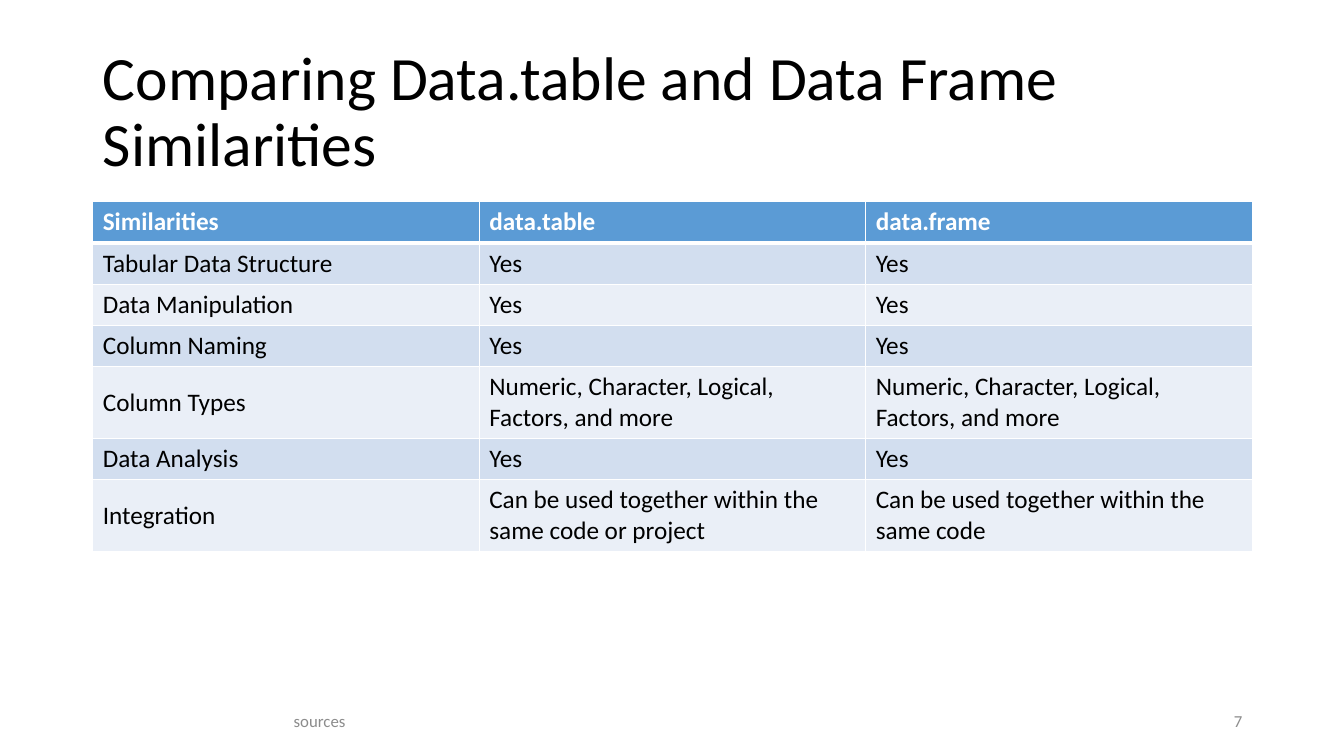
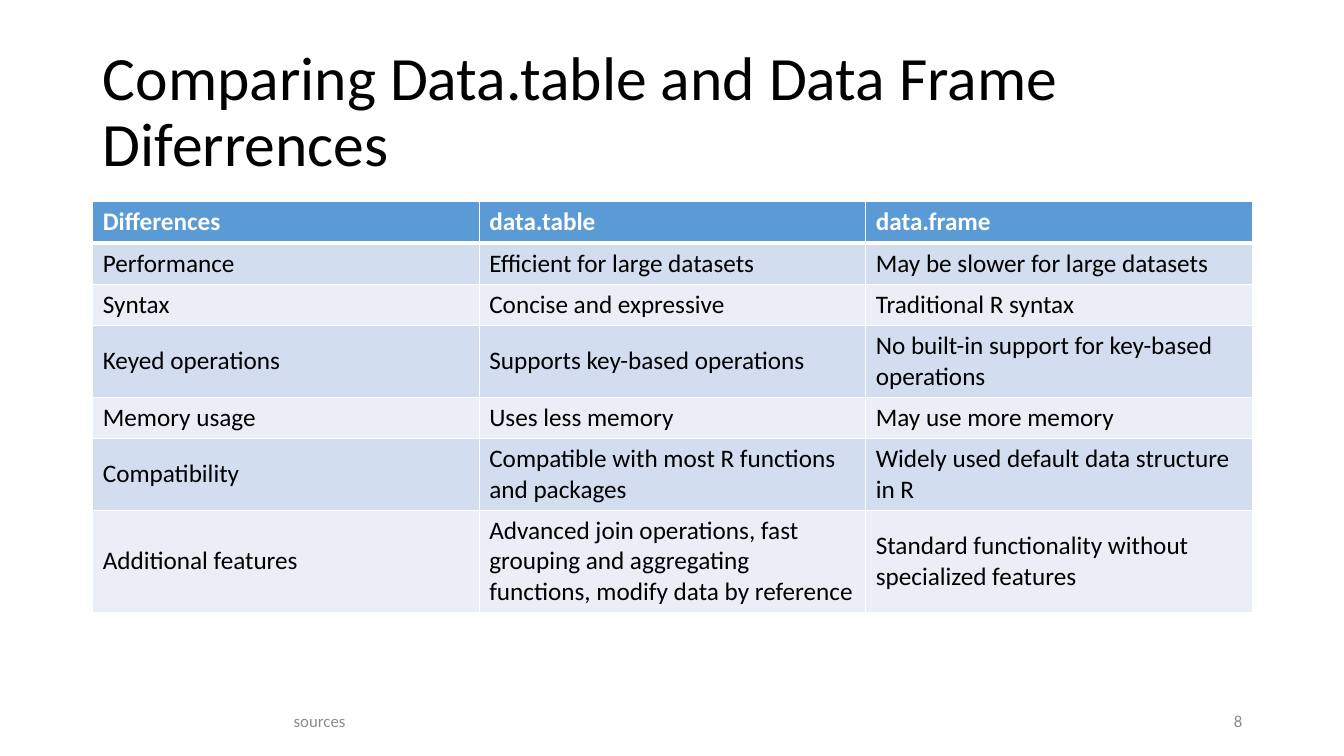
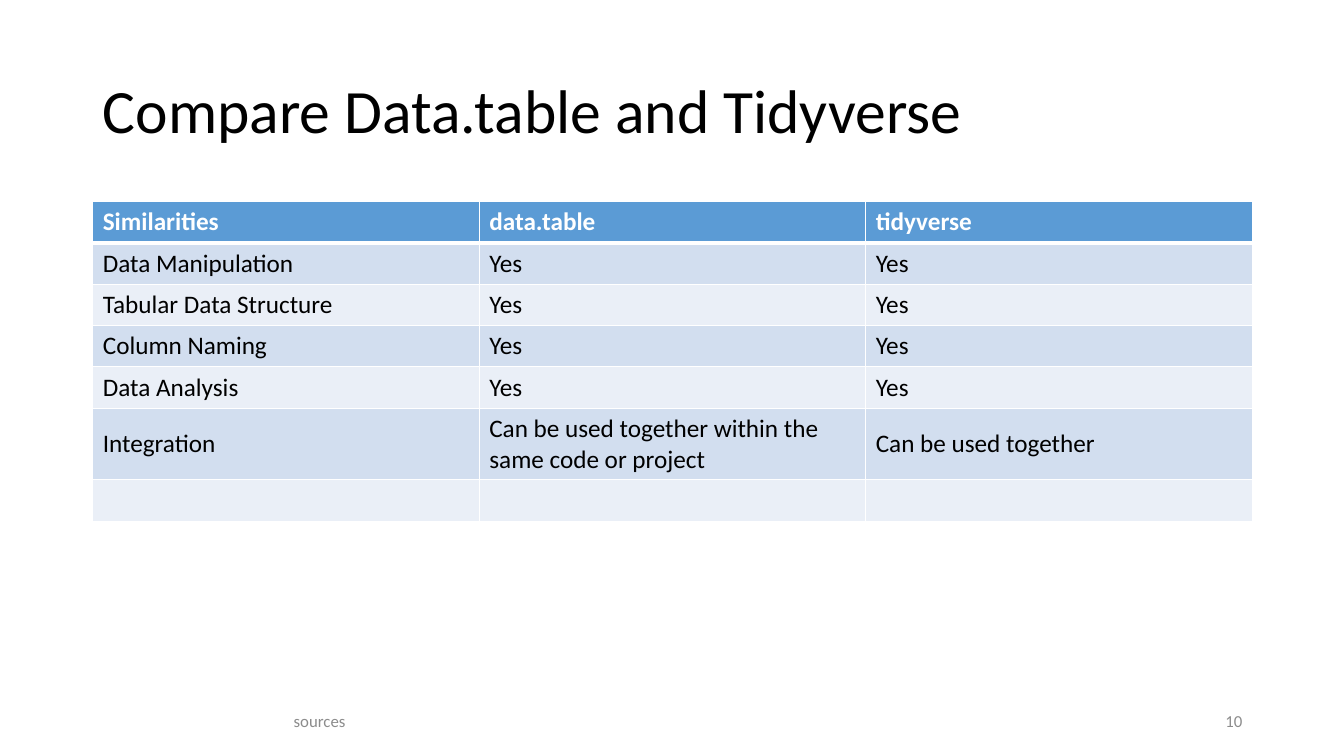
from dataclasses import dataclass
from pptx import Presentation
from pptx.dml.color import RGBColor as RGB
from pptx.enum.text import MSO_ANCHOR as ANCHOR, MSO_AUTO_SIZE as FIT, PP_ALIGN as ALIGN
from pptx.oxml.ns import qn
from pptx.util import Inches, Pt
from lxml.etree import SubElement

# Content
FOOTER = "sources"
SLIDES = [
    {"number": 7,
     "title": "Comparing Data.table and Data Frame\vSimilarities",
     "rows": [
         ("Similarities", "data.table", "data.frame"),
         ("Tabular Data Structure", "Yes", "Yes"),
         ("Data Manipulation", "Yes", "Yes"),
         ("Column Naming", "Yes", "Yes"),
         ("Column Types", "Numeric, Character, Logical, Factors, and more",
          "Numeric, Character, Logical, Factors, and more"),
         ("Data Analysis", "Yes", "Yes"),
         ("Integration", "Can be used together within the same code or project",
          "Can be used together within the same code"),
     ]},
    {"number": 8,
     "title": "Comparing Data.table and Data Frame\vDiferrences",
     "rows": [
         ("Differences", "data.table", "data.frame"),
         ("Performance", "Efficient for large datasets", "May be slower for large datasets"),
         ("Syntax", "Concise and expressive", "Traditional R syntax"),
         ("Keyed operations", "Supports key-based operations",
          "No built-in support for key-based operations"),
         ("Memory usage", "Uses less memory", "May use more memory"),
         ("Compatibility", "Compatible with most R functions and packages",
          "Widely used default data structure in R"),
         ("Additional features",
          "Advanced join operations, fast grouping and aggregating functions, "
          "modify data by reference",
          "Standard functionality without specialized features"),
     ]},
    {"number": 10,
     "title": "Compare Data.table and Tidyverse",
     "rows": [
         ("Similarities", "data.table", "tidyverse"),
         ("Data Manipulation", "Yes", "Yes"),
         ("Tabular Data Structure", "Yes", "Yes"),
         ("Column Naming", "Yes", "Yes"),
         ("Data Analysis", "Yes", "Yes"),
         ("Integration", "Can be used together within the same code or project",
          "Can be used together"),
         ("", "", ""),
     ]},
]


# Theme and shared geometry
@dataclass(frozen=True)
class Theme:
    font: str = "Calibri"
    ink: str = "000000"
    white: str = "FFFFFF"
    muted: str = "8C8C8C"
    header: str = "5B9BD5"
    bands: tuple = ("D2DEEF", "EAEFF7")
    title_size: int = 44
    body_size: int = 18
    footer_size: int = 12
    rule: int = 1
    header_rule: int = 3


T = Theme()
LEFT, WIDTH = 0.92, 11.5
TITLE_BOX = (LEFT, 0.4, WIDTH, 1.45)
TABLE_TOP, ROW_H = 2, 0.41
FOOTER_BOX = (LEFT, 6.95, 4.5, 0.4)
NUMBER_BOX = (LEFT + WIDTH - 3, 6.95, 3, 0.4)


def set_all(obj, values):
    for name, value in values.items():
        setattr(obj, name, value)


def style(tf, size, color, bold=False, align=ALIGN.LEFT, spacing=1.0):
    set_all(tf, {"word_wrap": True, "auto_size": FIT.NONE, "vertical_anchor": ANCHOR.MIDDLE})
    for p in tf.paragraphs:
        set_all(p, {"alignment": align, "line_spacing": spacing})
        for r in p.runs:
            set_all(r.font, {"name": T.font, "size": Pt(size), "bold": bold})
            r.font.color.rgb = RGB.from_string(color)


def add_title(s, text):
    sp = s.shapes.title
    set_all(sp, dict(zip(("left", "top", "width", "height"), map(Inches, TITLE_BOX))))
    sp.text_frame.text = text
    style(sp.text_frame, T.title_size, T.ink, spacing=0.9)


def add_footer(s, box, text, align):
    tf = s.shapes.add_textbox(*map(Inches, box)).text_frame
    tf.text = text
    style(tf, T.footer_size, T.muted, align=align)


def set_borders(cell, top, bottom):
    tc_pr = cell._tc.get_or_add_tcPr()
    for side, width in (("L", T.rule), ("R", T.rule), ("T", top), ("B", bottom)):
        ln = SubElement(tc_pr, qn(f"a:ln{side}"), w=str(Pt(width)))
        fill = SubElement(ln, qn("a:solidFill"))
        SubElement(fill, qn("a:srgbClr"), val=T.white)


def add_comparison(s, rows):
    n_rows, n_cols = len(rows), len(rows[0])
    table = s.shapes.add_table(n_rows, n_cols, Inches(LEFT), Inches(TABLE_TOP),
                               Inches(WIDTH), Inches(ROW_H * n_rows)).table
    table.horz_banding = False
    for i, row in enumerate(rows):
        head = i == 0
        fill = T.header if head else T.bands[(i - 1) % 2]
        # The header's heavy lower rule is also the first body row's upper edge
        top = T.header_rule if i == 1 else T.rule
        bottom = T.header_rule if head else T.rule
        for j, text in enumerate(row):
            cell = table.cell(i, j)
            cell.text = text
            style(cell.text_frame, T.body_size, T.white if head else T.ink, bold=head)
            cell.vertical_anchor = ANCHOR.MIDDLE
            set_borders(cell, top, bottom)
            cell.fill.solid()
            cell.fill.fore_color.rgb = RGB.from_string(fill)


# Build
prs = Presentation()
set_all(prs, {"slide_width": Inches(13.33), "slide_height": Inches(7.5)})
title_only = prs.slide_layouts[5]
for page in SLIDES:
    s = prs.slides.add_slide(title_only)
    add_title(s, page["title"])
    add_comparison(s, page["rows"])
    add_footer(s, FOOTER_BOX, FOOTER, ALIGN.CENTER)
    add_footer(s, NUMBER_BOX, str(page["number"]), ALIGN.RIGHT)
prs.save("out.pptx")
